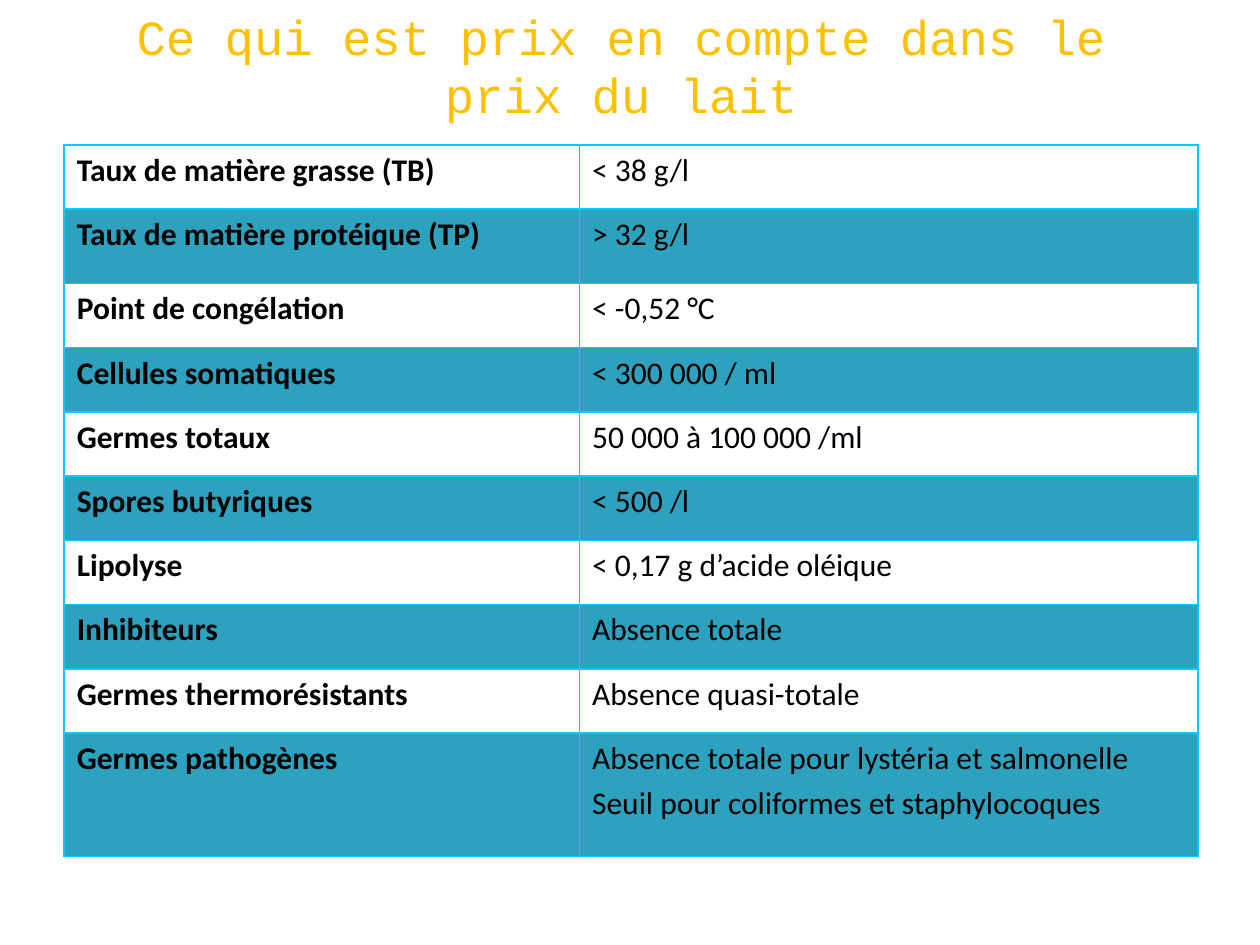
from lxml import etree
from pptx import Presentation
from pptx.dml.color import RGBColor
from pptx.enum import text
from pptx.oxml import ns
from pptx.util import Inches, Pt

AMBER = RGBColor(0xFF, 0xC0, 0x00)
BLACK = RGBColor(0x00, 0x00, 0x00)
TEAL = RGBColor(0x2D, 0xA2, 0xBF)
CYAN = RGBColor(0x00, 0xCC, 0xFF)

TITLE = "Ce qui est prix en compte dans le prix du lait"
COLUMN_WIDTHS = (4.09, 4.91)
ROW_HEIGHT = 0.51
SPECIAL_HEIGHTS = {1: 0.59, 9: 0.98}
CRITERIA = [
    ("Taux de matière grasse (TB)", "< 38 g/l"),
    ("Taux de matière protéique (TP)", "> 32 g/l"),
    ("Point de congélation", "< -0,52 °C"),
    ("Cellules somatiques", "< 300 000 / ml"),
    ("Germes totaux", "50 000 à 100 000 /ml"),
    ("Spores butyriques", "< 500 /l"),
    ("Lipolyse", "< 0,17 g d’acide oléique"),
    ("Inhibiteurs", "Absence totale"),
    ("Germes thermorésistants", "Absence quasi-totale"),
    ("Germes pathogènes",
     "Absence totale pour lystéria et salmonelle\n"
     "Seuil pour coliformes et staphylocoques"),
]


def style_runs(p, font, size, color, bold=False):
    for r in p.runs:
        r.font.name = font
        r.font.size = Pt(size)
        r.font.bold = bold
        r.font.color.rgb = color


def add_title(slide):
    box = slide.shapes.add_textbox(Inches(0.43), Inches(0.13), Inches(9), Inches(0.77))
    tf = box.text_frame
    tf.word_wrap = True
    tf.vertical_anchor = text.MSO_ANCHOR.MIDDLE
    tf.text = TITLE
    p = tf.paragraphs[0]
    p.alignment = text.PP_ALIGN.CENTER
    style_runs(p, "Courier New", 28, AMBER)


def set_borders(cell, color, width):
    tc_pr = cell._tc.get_or_add_tcPr()
    for side in ("a:lnL", "a:lnR", "a:lnT", "a:lnB"):
        line = etree.SubElement(tc_pr, ns.qn(side), w=str(Pt(width)))
        fill = etree.SubElement(line, ns.qn("a:solidFill"))
        etree.SubElement(fill, ns.qn("a:srgbClr"), val=str(color))


def fill_cell(cell, content, bold, shaded):
    set_borders(cell, CYAN, 1)
    if shaded:
        cell.fill.solid()
        cell.fill.fore_color.rgb = TEAL
    else:
        cell.fill.background()
    cell.text_frame.text = content
    for i, p in enumerate(cell.text_frame.paragraphs):
        if i:
            p.space_before = Pt(3.6)
        style_runs(p, "Calibri", 18, BLACK, bold)


def add_criteria_table(slide):
    heights = [SPECIAL_HEIGHTS.get(i, ROW_HEIGHT) for i in range(len(CRITERIA))]
    frame = slide.shapes.add_table(
        len(CRITERIA), len(COLUMN_WIDTHS), Inches(0.51), Inches(1.15),
        Inches(sum(COLUMN_WIDTHS)), Inches(sum(heights)))
    table = frame.table
    table.first_row = table.horz_banding = False
    for column, width in zip(table.columns, COLUMN_WIDTHS):
        column.width = Inches(width)
    for i, (row, values) in enumerate(zip(table.rows, CRITERIA)):
        row.height = Inches(heights[i])
        for j, value in enumerate(values):
            fill_cell(row.cells[j], value, bold=j == 0, shaded=i % 2 == 1)


def main():
    prs = Presentation()
    prs.slide_width = Inches(10)
    prs.slide_height = Inches(7.5)
    slide = prs.slides.add_slide(prs.slide_layouts[6])
    add_criteria_table(slide)
    add_title(slide)
    prs.save("out.pptx")


if __name__ == "__main__":
    main()
